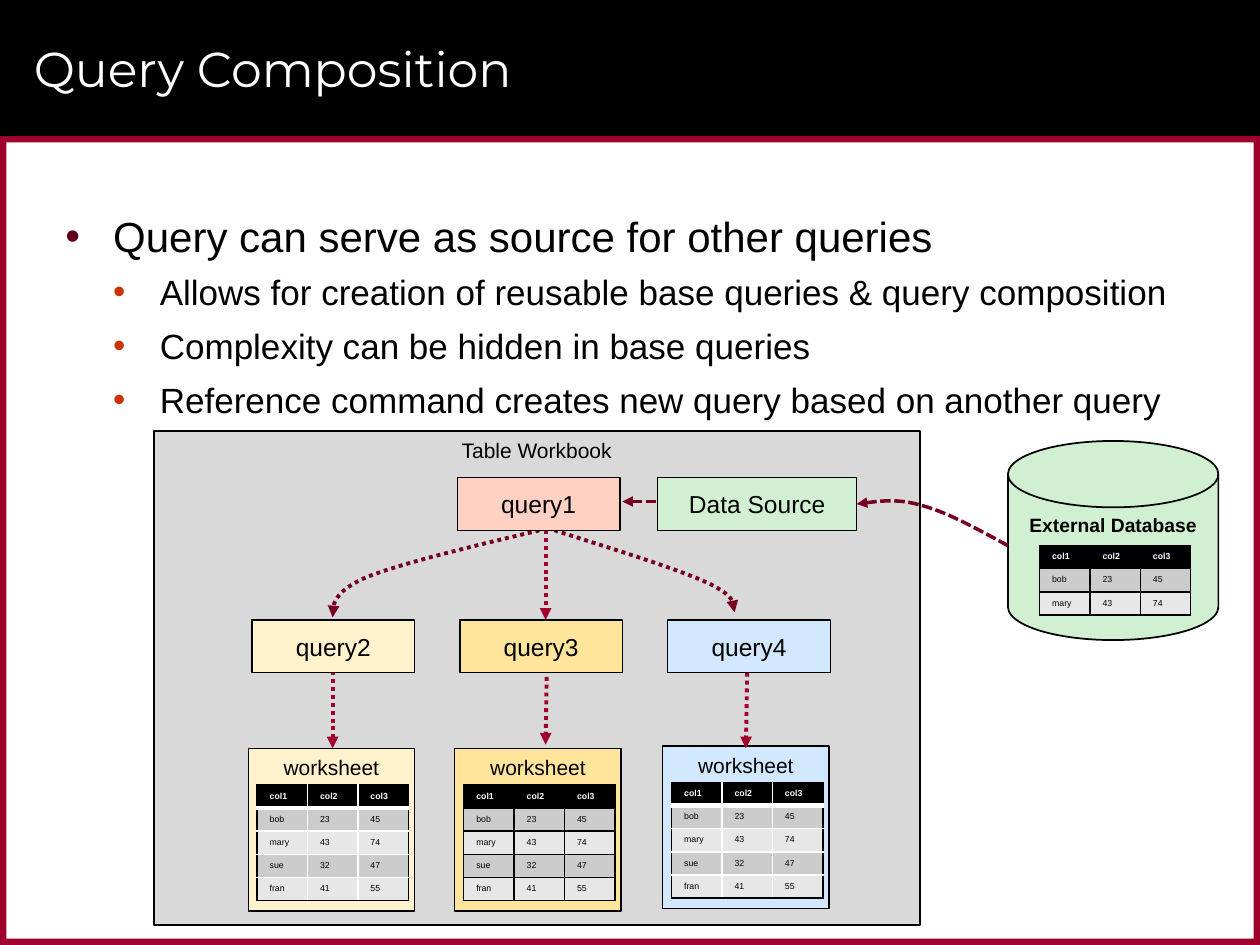
from lxml.etree import SubElement
from pptx import Presentation
from pptx.dml.color import RGBColor
from pptx.enum.shapes import MSO_CONNECTOR, MSO_SHAPE
from pptx.enum.text import MSO_ANCHOR, PP_ALIGN
from pptx.oxml import parse_xml
from pptx.oxml.ns import nsdecls, qn
from pptx.util import Inches, Pt

RECT = MSO_SHAPE.RECTANGLE
DISK = MSO_SHAPE.FLOWCHART_MAGNETIC_DISK
LINE = MSO_CONNECTOR.STRAIGHT
TOP, MID = MSO_ANCHOR.TOP, MSO_ANCHOR.MIDDLE
LEFT, MID_X = PP_ALIGN.LEFT, PP_ALIGN.CENTER
BLACK, WHITE, RED, WINE = "000000", "FFFFFF", "9F002D", "760021"
CREAM, GOLD, BLUE, GREEN = "FFF2CD", "FFE59B", "D1E8FF", "D1F0D1"
hue = RGBColor.from_string

deck = Presentation()
deck.slide_width, deck.slide_height = Inches(10), Inches(7.5)
slide = deck.slides.add_slide(deck.slide_layouts[6])
shapes = slide.shapes


def write(para, text, size, tint=BLACK, bold=False, face="Arial"):
    run = para.add_run()
    run.text = text
    for key, value in {"size": Pt(size), "bold": bold, "name": face}.items():
        setattr(run.font, key, value)
    run.font.color.rgb = hue(tint)


def box(kind, area, fill, text="", size=12, line=0.75, anchor=TOP, bold=False):
    item = shapes.add_shape(kind, *map(Inches, area))
    item.shadow.inherit = False
    item.fill.solid()
    item.fill.fore_color.rgb = hue(fill)
    if line:
        item.line.color.rgb = hue(BLACK)
        item.line.width = Pt(line)
    else:
        item.line.fill.background()
    if text:
        item.text_frame.vertical_anchor = anchor
        para = item.text_frame.paragraphs[0]
        para.alignment = MID_X
        write(para, text, size, bold=bold)


box(RECT, (0, 0, 10, 1.08), BLACK, line=0)
for area in [(0, 1.08, 10, 0.05), (0, 7.45, 10, 0.05),
             (0, 1.08, 0.05, 6.42), (9.95, 1.08, 0.05, 6.42)]:
    box(RECT, area, RED, line=0)

title = shapes.add_textbox(*map(Inches, (0.17, 0.08, 9.42, 0.92))).text_frame
title.word_wrap = True
title.vertical_anchor = MID
write(title.paragraphs[0], "Query Composition", 28, WHITE, face="Montserrat")

body = shapes.add_textbox(*map(Inches, (0.42, 1.62, 9.17, 1.75))).text_frame
body.word_wrap = True
points = [
    (0, "Query can serve as source for other queries"),
    (1, "Allows for creation of reusable base queries & query composition"),
    (1, "Complexity can be hidden in base queries"),
    (1, "Reference command creates new query based on another query"),
]
levels = [(24, 0.38, -0.38, 0, 2, "60001B"), (20, 0.75, -0.37, 3.4, 3.4, "CC3300")]
for i, (level, text) in enumerate(points):
    size, margin, indent, before, after, dot = levels[level]
    para = body.add_paragraph() if i else body.paragraphs[0]
    form = {"level": level, "alignment": LEFT,
            "space_before": Pt(before), "space_after": Pt(after)}
    for key, value in form.items():
        setattr(para, key, value)
    props = para._p.get_or_add_pPr()
    props.set("marL", str(Inches(margin)))
    props.set("indent", str(Inches(indent)))
    tint = SubElement(props, qn("a:buClr"))
    SubElement(tint, qn("a:srgbClr"), val=dot)
    SubElement(props, qn("a:buFont"), typeface="Arial")
    SubElement(props, qn("a:buChar"), char="•")
    write(para, text, size)

box(RECT, (1.22, 3.42, 6.08, 3.92), "D9D9D9", "Table Workbook", line=1)
box(DISK, (8, 3.5, 1.67, 1.58), GREEN, "External Database", 11, 1, bold=True)
sheets = [(1.97, 5.94, CREAM), (3.61, 5.94, GOLD), (5.26, 5.92, BLUE)]
for x, y, fill in sheets:
    box(RECT, (x, y, 1.32, 1.29), fill, "worksheet")

data = [("col1", "col2", "col3"), ("bob", "23", "45"), ("mary", "43", "74"),
        ("sue", "32", "47"), ("fran", "41", "55")]
grids = [(2.04, 6.23, 5, WHITE), (3.68, 6.23, 5, BLACK),
         (5.33, 6.21, 5, WHITE), (8.25, 4.33, 3, BLACK)]
for x, y, count, inner in grids:
    area = map(Inches, (x, y, 1.2, 0.18 * count))
    table = shapes.add_table(count, 3, *area).table
    for row, words in enumerate(data[:count]):
        table.rows[row].height = Inches(0.18)
        for col, text in enumerate(words):
            cell = table.cell(row, col)
            cell.fill.solid()
            cell.fill.fore_color.rgb = hue(
                ("E7E7E7", "CCCCCC")[row % 2] if row else BLACK)
            write(cell.text_frame.paragraphs[0], text, 5,
                  BLACK if row else WHITE, not row)
            edges = {"L": col == 0, "R": col == 2,
                     "T": row == 0, "B": row == count - 1}
            for i, (side, outer) in enumerate(edges.items()):
                thick = side == "B" and row == 0 and inner == WHITE
                tint = BLACK if outer else inner
                cell._tc.get_or_add_tcPr().insert(i, parse_xml(
                    f'<a:ln{side} {nsdecls("a")} w="{Pt(3 if thick else 1)}">'
                    f'<a:solidFill><a:srgbClr val="{tint}"/></a:solidFill>'
                    f'</a:ln{side}>'))

arrows = [
    (RED, 2.25, "sysDot", [(4.33, 4.21), (4.33, 4.92)]),
    (RED, 2.25, "sysDot", [(2.64, 5.33), (2.64, 5.94)]),
    (RED, 2.25, "sysDot", [(4.34, 5.31), (4.33, 5.91)]),
    (RED, 2.25, "sysDot", [(5.93, 5.34), (5.92, 5.94)]),
    (WINE, 2, "sysDash", [(5.21, 3.98), (4.94, 3.98)]),
    (WINE, 2, "sysDash", [(8, 4.33), (7.76, 4.2), (7.51, 4.06), (7.31, 4.01),
                          (7.11, 3.95), (6.96, 3.98), (6.8, 4)]),
    (WINE, 2.25, "sysDot", [(4.34, 4.19), (4.84, 4.35), (5.33, 4.5), (5.58, 4.61),
                            (5.83, 4.72), (5.83, 4.79), (5.83, 4.86)]),
    (WINE, 2.25, "sysDot", [(4.28, 4.21), (3.73, 4.34), (3.19, 4.47), (2.91, 4.58),
                            (2.64, 4.7), (2.64, 4.8), (2.64, 4.9)]),
]
for tint, width, dash, knots in arrows:
    if len(knots) == 2:
        arrow = shapes.add_connector(LINE, *map(Inches, knots[0] + knots[1]))
        SubElement(arrow._element.spPr, qn("a:effectLst"))
    else:
        trail = []
        for start in range(0, len(knots) - 1, 3):
            for step in range(1, 13):
                t = step / 12
                parts = ((1 - t)**3, 3 * t * (1 - t)**2, 3 * t**2 * (1 - t), t**3)
                trail.append(tuple(
                    Inches(sum(k * p[axis] for k, p in zip(parts, knots[start:])))
                    for axis in (0, 1)))
        pen = shapes.build_freeform(*map(Inches, knots[0]))
        pen.add_line_segments(trail, close=False)
        arrow = pen.convert_to_shape()
        arrow.shadow.inherit = False
        arrow.fill.background()
    arrow.line.color.rgb = hue(tint)
    arrow.line.width = Pt(width)
    stroke = arrow.line._get_or_add_ln()
    SubElement(stroke, qn("a:prstDash"), val=dash)
    SubElement(stroke, qn("a:tailEnd"), type="triangle")

nodes = [(3.63, 3.79, 1.29, "FFD1C2", "query1"), (5.22, 3.79, 1.58, GREEN, "Data Source"),
         (2, 4.92, 1.29, CREAM, "query2"), (3.65, 4.92, 1.29, GOLD, "query3"),
         (5.3, 4.92, 1.29, BLUE, "query4")]
for x, y, width, fill, text in nodes:
    box(RECT, (x, y, width, 0.42), fill, text, 14, anchor=MID)

deck.save("out.pptx")
